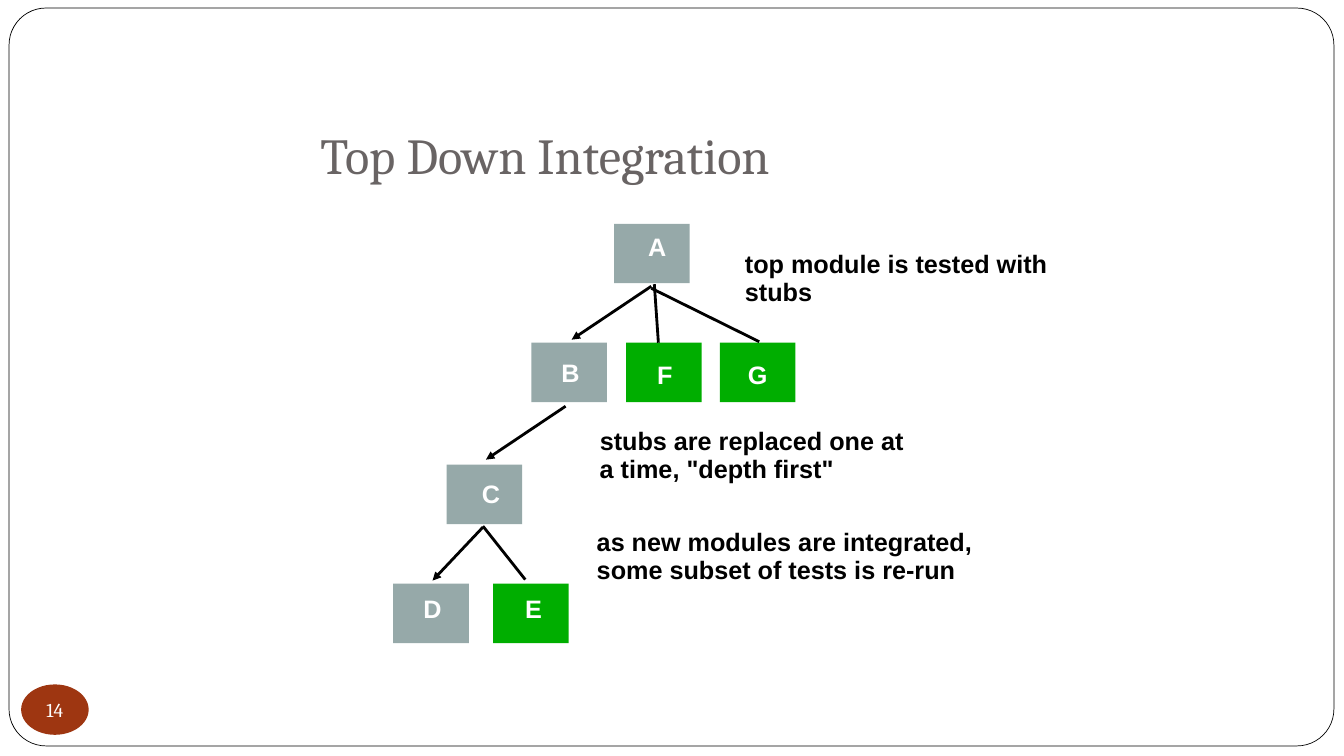
from dataclasses import dataclass

from lxml import etree
from pptx import Presentation
from pptx import util as u
from pptx.dml.color import RGBColor
from pptx.enum import shapes, text
from pptx.oxml.ns import qn


@dataclass(frozen=True)
class Theme:
    white: str = "FFFFFF"
    black: str = "000000"
    title: str = "696464"
    badge: str = "9E3611"
    module: str = "96A9A9"
    stub: str = "00AE00"
    heading_font: str = "Cambria"
    body_font: str = "Arial"
    title_size: int = 36
    body_size: int = 18
    badge_size: int = 14
    frame_width: float = 0.5
    link_width: float = 2


THEME = Theme()
BOX_W, BOX_H = 0.75, 0.59
LABEL_H = 0.4
NOTE_STEP = 0.28

MODULES = [
    ("A", (6.09, 2.22), (6.33, 2.25, 0.38), THEME.module),
    ("B", (5.27, 3.4), (5.47, 3.5, 0.38), THEME.module),
    ("C", (4.43, 4.61), (4.68, 4.7, 0.38), THEME.module),
    ("D", (3.9, 5.79), (4.1, 5.84, 0.38), THEME.module),
    ("E", (4.89, 5.79), (5.11, 5.84, 0.36), THEME.stub),
    ("F", (6.21, 3.4), (6.42, 3.52, 0.35), THEME.stub),
    ("G", (7.14, 3.4), (7.32, 3.52, 0.39), THEME.stub),
]
STUB_LINKS = [
    (4.79, 5.22, 5.21, 5.75),
    (6.49, 2.82, 6.53, 3.4),
    (6.46, 2.86, 7.53, 3.39),
]
MODULE_LINKS = [
    (6.46, 2.84, 5.67, 3.37),
    (5.61, 4.03, 4.82, 4.56),
    (4.79, 5.23, 4.29, 5.76),
]
NOTES = [
    (7.29, 2.41, [("top module is tested with", 3.27), ("stubs", 0.9)]),
    (5.85, 4.17, [("stubs are replaced one at", 3.28), ('a time, "depth first"', 2.54)]),
    (5.82, 5.17, [("as new modules are integrated,", 3.99),
                  ("some subset of tests is re-run", 3.78)]),
]


def inches(*lengths):
    return [u.Inches(length) for length in lengths]


def add_run(p, words, font, size, color, bold=False):
    r = p.add_run()
    r.text = words
    r.font.name = font
    r.font.size = u.Pt(size)
    r.font.bold = bold
    r.font.color.rgb = RGBColor.from_string(color)


def add_block(s, kind, box, fill, line=None):
    sp = s.shapes.add_shape(kind, *inches(*box))
    sp.shadow.inherit = False
    sp.fill.solid()
    sp.fill.fore_color.rgb = RGBColor.from_string(fill)
    if line:
        sp.line.color.rgb = RGBColor.from_string(line)
        sp.line.width = u.Pt(THEME.frame_width)
    else:
        sp.line.fill.background()
    return sp


def add_frame(s):
    sp = add_block(s, shapes.MSO_SHAPE.ROUNDED_RECTANGLE, (0.09, 0.08, 13.14, 7.32),
                   THEME.white, THEME.black)
    sp.adjustments[0] = 0.05


def add_title(s, words):
    tf = s.shapes.add_textbox(*inches(3.08, 1.25, 7.48, 0.57)).text_frame
    tf.word_wrap = True
    tf.vertical_anchor = text.MSO_ANCHOR.MIDDLE
    add_run(tf.paragraphs[0], words, THEME.heading_font, THEME.title_size, THEME.title)


def add_badge(s, number):
    sp = add_block(s, shapes.MSO_SHAPE.OVAL, (0.21, 6.79, 0.67, 0.5), THEME.badge)
    tf = sp.text_frame
    tf.margin_left = tf.margin_right = tf.margin_top = tf.margin_bottom = 0
    tf.word_wrap = False
    tf.vertical_anchor = text.MSO_ANCHOR.MIDDLE
    p = tf.paragraphs[0]
    p.alignment = text.PP_ALIGN.CENTER
    add_run(p, number, THEME.heading_font, THEME.badge_size, THEME.white)


def add_label(s, words, left, top, width, color):
    tf = s.shapes.add_textbox(*inches(left, top, width, LABEL_H)).text_frame
    tf.word_wrap = False
    tf.auto_size = text.MSO_AUTO_SIZE.SHAPE_TO_FIT_TEXT
    add_run(tf.paragraphs[0], words, THEME.body_font, THEME.body_size, color, bold=True)


def add_link(s, ends, arrow=False):
    link = s.shapes.add_connector(shapes.MSO_CONNECTOR.STRAIGHT, *inches(*ends))
    link.line.color.rgb = RGBColor.from_string(THEME.black)
    link.line.width = u.Pt(THEME.link_width)
    props = link.element.spPr
    if arrow:
        etree.SubElement(props.find(qn("a:ln")), qn("a:tailEnd"), type="triangle")
    etree.SubElement(props, qn("a:effectLst"))


def main():
    prs = Presentation()
    prs.slide_width, prs.slide_height = inches(13.33, 7.5)
    s = prs.slides.add_slide(prs.slide_layouts[6])

    add_frame(s)
    add_title(s, "Top Down Integration")
    add_badge(s, "14")
    for _, corner, _, fill in MODULES:
        add_block(s, shapes.MSO_SHAPE.RECTANGLE, (*corner, BOX_W, BOX_H), fill)
    for ends in STUB_LINKS:
        add_link(s, ends)
    for left, top, lines in NOTES:
        for row, (words, width) in enumerate(lines):
            add_label(s, words, left, top + row * NOTE_STEP, width, THEME.black)
    for name, _, place, _ in MODULES:
        add_label(s, name, *place, THEME.white)
    for ends in MODULE_LINKS:
        add_link(s, ends, arrow=True)

    prs.save("out.pptx")


if __name__ == "__main__":
    main()
